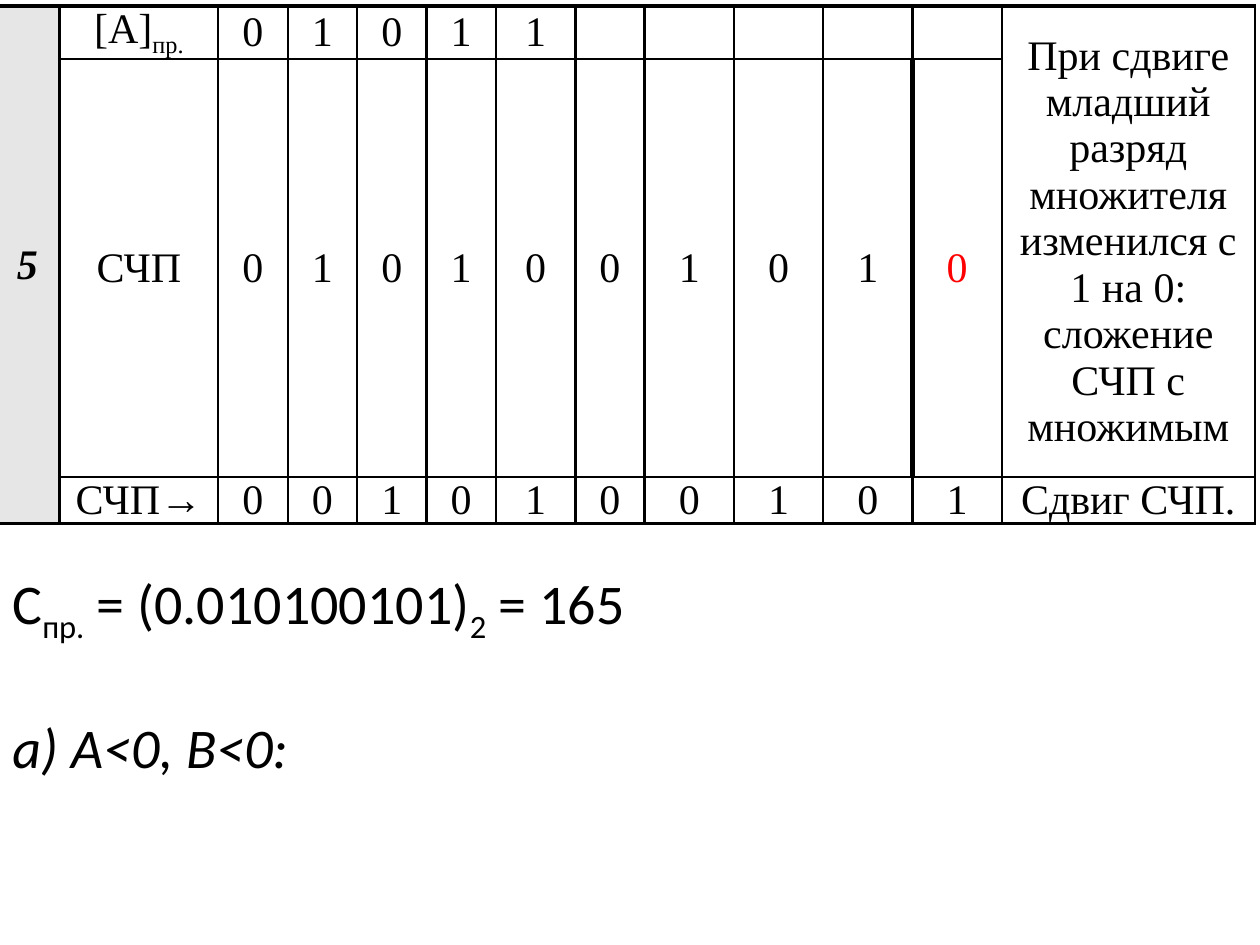
from lxml.etree import SubElement
from pptx import Presentation
from pptx.dml.color import RGBColor
from pptx.enum.text import MSO_ANCHOR, MSO_AUTO_SIZE, PP_ALIGN
from pptx.oxml.ns import qn
from pptx.util import Cm, Pt

COLORS = {"text": "000000", "step": "E6E6E6", "changed": "FF0000"}
TABLE_FONT = {"name": "Times New Roman", "size": Pt(24)}
FORMULA_FONT = {"name": "Calibri", "size": Pt(32)}
CELL_FORMAT = {"margin_left": Cm(0.1), "margin_right": Cm(0.1),
               "margin_top": 0, "margin_bottom": 0,
               "vertical_anchor": MSO_ANCHOR.MIDDLE}

COL_WIDTHS = [1.3, 3.2] + [1.4] * 4 + [1.6, 1.4] + [1.8] * 4 + [5.1]
ROW_HEIGHTS = [1.06, 8.43, 0.93]
SUBSCRIPT = "_"  # marks a run that is set below the line
NOTE = "При сдвиге младший разряд множителя изменился с 1 на 0: сложение СЧП с множимым"
ROWS = [
    [["5"], ["[А]", "_пр."], *"01011", *[""] * 5, [NOTE]],
    ["", ["СЧП"], *"0101001010", ""],
    ["", ["СЧП→"], *"0010100101", ["Сдвиг СЧП."]],
]
CHANGED_BIT = (1, 11)
THIN, MEDIUM, THICK = 1.5, 2.25, 3


def set_attrs(obj, values):
    for name, value in values.items():
        setattr(obj, name, value)


def add_runs(p, texts, font, color="text"):
    for text in texts:
        r = p.add_run()
        r.text = text.removeprefix(SUBSCRIPT)
        set_attrs(r.font, font)
        r.font.color.rgb = RGBColor.from_string(COLORS[color])
        if text.startswith(SUBSCRIPT):
            r.font._element.set("baseline", "-25000")


def vertical_line(row, edge):
    """Width of the line at a column edge; two edges set the registers apart."""
    if edge == 7:
        return MEDIUM
    return THICK if (row, edge) == (1, 11) else THIN


def horizontal_line(edge):
    return MEDIUM if edge in (0, len(ROWS)) else THIN


def set_borders(cell, row, col):
    last_row = row + (cell.span_height if cell.is_merge_origin else 1)
    widths = {"a:lnL": vertical_line(row, col), "a:lnR": vertical_line(row, col + 1),
              "a:lnT": horizontal_line(row), "a:lnB": horizontal_line(last_row)}
    tc_pr = cell._tc.get_or_add_tcPr()
    for tag, width in widths.items():
        ln = SubElement(tc_pr, qn(tag), w=str(Pt(width)))
        fill = SubElement(ln, qn("a:solidFill"))
        SubElement(fill, qn("a:srgbClr"), val=COLORS["text"])


def fill_cell(cell, row, col, texts):
    set_attrs(cell, CELL_FORMAT)
    set_borders(cell, row, col)
    cell.fill.background()
    p = cell.text_frame.paragraphs[0]
    p.alignment = PP_ALIGN.CENTER
    p.font.size = TABLE_FONT["size"]
    color = "changed" if (row, col) == CHANGED_BIT else "text"
    add_runs(p, texts, TABLE_FONT, color)


def add_step_table(slide):
    table = slide.shapes.add_table(
        len(ROWS), len(COL_WIDTHS), Cm(-0.1), Cm(0.12),
        Cm(sum(COL_WIDTHS)), Cm(sum(ROW_HEIGHTS))).table
    set_attrs(table, {"first_row": False, "horz_banding": False})
    for column, width in zip(table.columns, COL_WIDTHS):
        column.width = Cm(width)
    for row, height in zip(table.rows, ROW_HEIGHTS):
        row.height = Cm(height)

    step, note = table.cell(0, 0), table.cell(0, 12)
    step.merge(table.cell(2, 0))
    note.merge(table.cell(1, 12))
    for i, texts_in_row in enumerate(ROWS):
        for j, texts in enumerate(texts_in_row):
            cell = table.cell(i, j)
            if not cell.is_spanned:
                fill_cell(cell, i, j, texts)

    step.fill.solid()
    step.fill.fore_color.rgb = RGBColor.from_string(COLORS["step"])
    set_attrs(step.text_frame.paragraphs[0].runs[0].font, {"bold": True, "italic": True})
    table.cell(0, 1).vertical_anchor = MSO_ANCHOR.TOP


def add_result(slide):
    tf = slide.shapes.add_textbox(0, Cm(11.33), Cm(25.4), Cm(5.74)).text_frame
    set_attrs(tf, {"word_wrap": True, "auto_size": MSO_AUTO_SIZE.SHAPE_TO_FIT_TEXT})
    add_runs(tf.paragraphs[0], ["С", "_пр.", " = (0.010100101)", "_2", " = 165"],
             FORMULA_FONT)
    p = tf.add_paragraph()
    p.space_before = Pt(39)
    add_runs(p, ["а) А<0, B<0:"], {**FORMULA_FONT, "italic": True})


def main():
    prs = Presentation()
    set_attrs(prs, {"slide_width": Cm(25.4), "slide_height": Cm(19.05)})
    slide = prs.slides.add_slide(prs.slide_layouts[6])
    add_step_table(slide)
    add_result(slide)
    prs.save("out.pptx")


if __name__ == "__main__":
    main()
